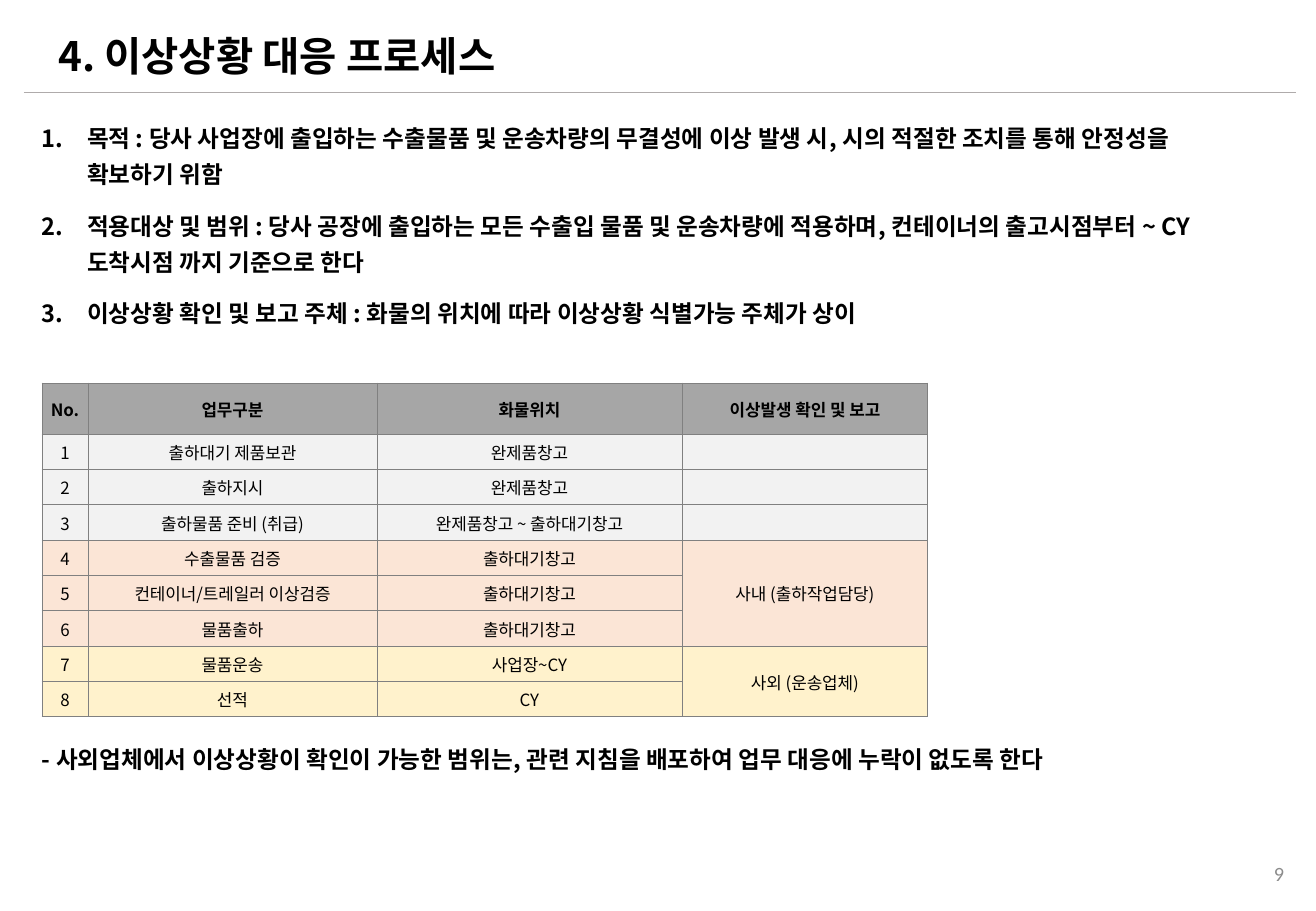
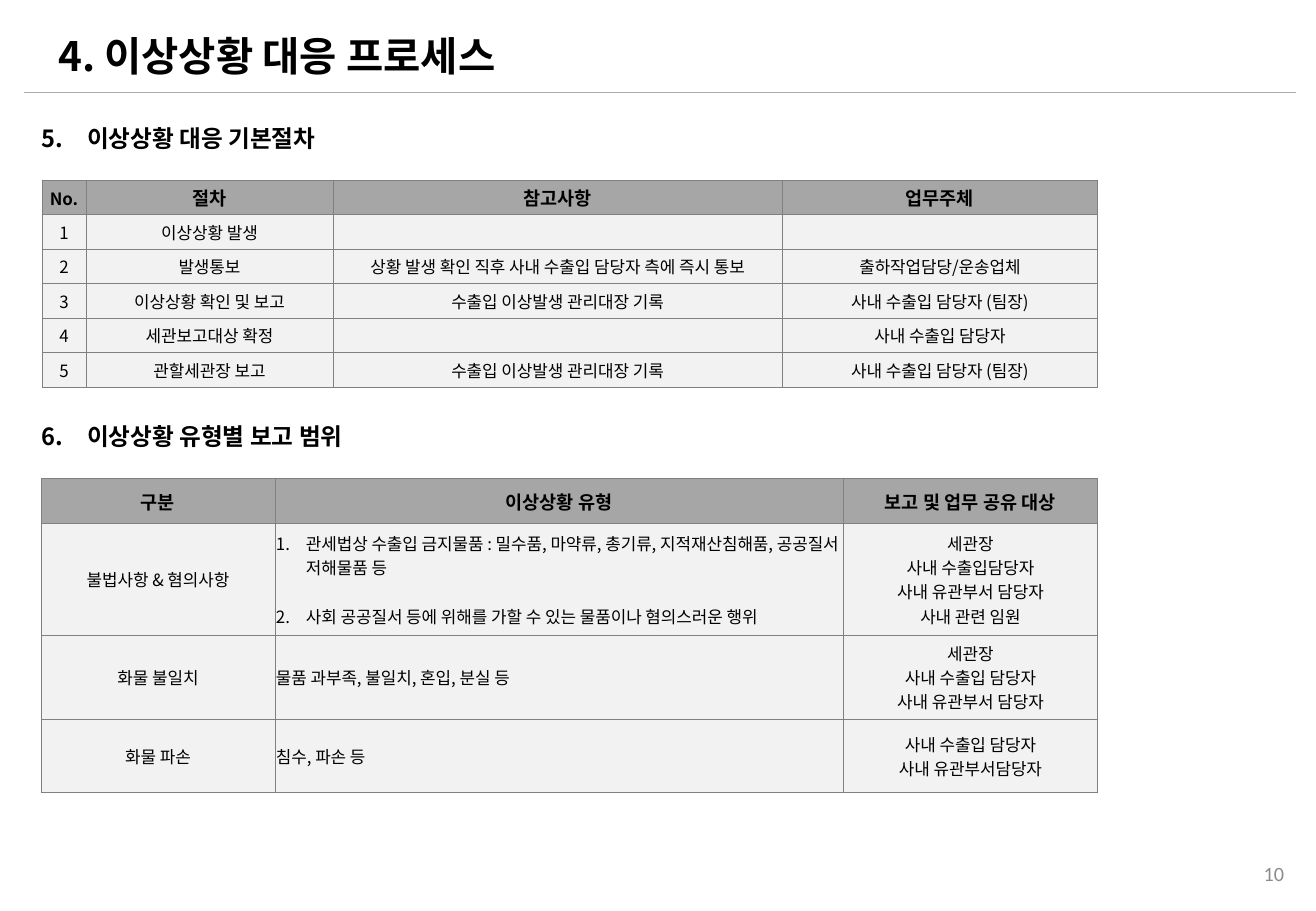
from lxml.etree import SubElement
from pptx import Presentation
from pptx.dml.color import RGBColor
from pptx.enum.shapes import MSO_CONNECTOR
from pptx.enum.text import MSO_ANCHOR as ANCHOR, PP_ALIGN as ALIGN
from pptx.oxml.ns import qn
from pptx.util import Emu, Pt

PX = 7526
KOREAN, LATIN = "Noto Sans CJK KR", "Calibri"
BLACK, PAGE_GRAY, RULE_GRAY, BORDER = "000000", "8C8C8C", "AFABAB", "808080"
HEADER, PLAIN, INSIDE, OUTSIDE = "A6A6A6", "F2F2F2", "FBE5D6", "FFF2CC"
TITLE = "4. 이상상황 대응 프로세스"
BODY_LEFT, BODY_WIDTH = 42, 1225

LOCATIONS = {
    "at": (42, 383),
    "widths": [46, 289, 305, 246],
    "heights": [51] + [283 / 8] * 8,
    "header_sizes": [10, 10, 10, 10],
    "rows": [
        ("No.", "업무구분", "화물위치", "이상발생 확인 및 보고"),
        ("1", "출하대기 제품보관", "완제품창고", ""),
        ("2", "출하지시", "완제품창고", ""),
        ("3", "출하물품 준비 (취급)", "완제품창고 ~ 출하대기창고", ""),
        ("4", "수출물품 검증", "출하대기창고", "사내 (출하작업담당)"),
        ("5", "컨테이너/트레일러 이상검증", "출하대기창고", ""),
        ("6", "물품출하", "출하대기창고", ""),
        ("7", "물품운송", "사업장~CY", "사외 (운송업체)"),
        ("8", "선적", "CY", ""),
    ],
    "fills": [HEADER] + [PLAIN] * 3 + [INSIDE] * 3 + [OUTSIDE] * 2,
    "merges": [(4, 6, 3), (7, 8, 3)],
}
PROCEDURE = {
    "at": (42, 180),
    "widths": [44, 247, 449, 316],
    "heights": [207 / 6] * 6,
    "header_sizes": [10, 11, 11, 11],
    "rows": [
        ("No.", "절차", "참고사항", "업무주체"),
        ("1", "이상상황 발생", "", ""),
        ("2", "발생통보", "상황 발생 확인 직후 사내 수출입 담당자 측에 즉시 통보",
         "출하작업담당/운송업체"),
        ("3", "이상상황 확인 및 보고", "수출입 이상발생 관리대장 기록",
         "사내 수출입 담당자 (팀장)"),
        ("4", "세관보고대상 확정", "", "사내 수출입 담당자"),
        ("5", "관할세관장 보고", "수출입 이상발생 관리대장 기록",
         "사내 수출입 담당자 (팀장)"),
    ],
    "fills": [HEADER] + [PLAIN] * 5,
}
REPORTING = {
    "at": (41, 478),
    "widths": [234, 568, 255],
    "heights": [45, 112, 84, 73],
    "header_sizes": [11, 11, 11],
    "rows": [
        ("구분", "이상상황 유형", "보고 및 업무 공유 대상"),
        ("불법사항 & 혐의사항",
         ["관세법상 수출입 금지물품 : 밀수품, 마약류, 총기류, 지적재산침해품, 공공질서 저해물품 등",
          "사회 공공질서 등에 위해를 가할 수 있는 물품이나 혐의스러운 행위"],
         "세관장\n사내 수출입담당자\n사내 유관부서 담당자\n사내 관련 임원"),
        ("화물 불일치", "물품 과부족, 불일치, 혼입, 분실 등",
         "세관장\n사내 수출입 담당자\n사내 유관부서 담당자"),
        ("화물 파손", "침수, 파손 등", "사내 수출입 담당자\n사내 유관부서담당자"),
    ],
    "fills": [HEADER] + [PLAIN] * 3,
    "left_column": 1,
}
SLIDES = [
    {
        "page": 9,
        "texts": [
            (111, 1, [
                "목적 : 당사 사업장에 출입하는 수출물품 및 운송차량의 무결성에 이상 발생 시, 시의 적절한 조치를 통해 안정성을 확보하기 위함",
                "적용대상 및 범위 : 당사 공장에 출입하는 모든 수출입 물품 및 운송차량에 적용하며, 컨테이너의 출고시점부터 ~ CY 도착시점 까지 기준으로 한다",
                "이상상황 확인 및 보고 주체 : 화물의 위치에 따라 이상상황 식별가능 주체가 상이",
            ]),
            (732, None, ["- 사외업체에서 이상상황이 확인이 가능한 범위는, 관련 지침을 배포하여 업무 대응에 누락이 없도록 한다"]),
        ],
        "tables": [LOCATIONS],
    },
    {
        "page": 10,
        "texts": [(111, 5, ["이상상황 대응 기본절차"]),
                  (409, 6, ["이상상황 유형별 보고 범위"])],
        "tables": [PROCEDURE, REPORTING],
    },
]


def px(length):
    return Emu(round(length * PX))


def color(value):
    return RGBColor.from_string(value)


def style(paragraph, size, bold=False, ink=BLACK, face=KOREAN, align=ALIGN.LEFT):
    paragraph.alignment = align
    for run in paragraph.runs:
        font = run.font
        font.size, font.bold, font.name = Pt(size), bold, face
        font.color.rgb = color(ink)
        SubElement(font._element, qn("a:ea"), typeface=face)
    if not paragraph.runs:
        SubElement(paragraph._p, qn("a:endParaRPr"), sz=str(size * 100))


def number(paragraph, start, indent):
    properties = paragraph._p.get_or_add_pPr()
    properties.set("marL", str(px(indent)))
    properties.set("indent", str(-px(indent)))
    SubElement(properties, qn("a:buAutoNum"), type="arabicPeriod", startAt=str(start))


def add_box(slide, left, top, width, height):
    frame = slide.shapes.add_textbox(px(left), px(top), px(width), px(height)).text_frame
    frame.word_wrap = True
    return frame


def add_frame(slide, page):
    title = slide.shapes.title
    title.left, title.top, title.width, title.height = map(px, (46, 27, 1135, 63))
    title.text_frame.text = TITLE
    title.text_frame.vertical_anchor = ANCHOR.MIDDLE
    heading = title.text_frame.paragraphs[0]
    heading.line_spacing = 0.9
    style(heading, 24, bold=True)

    rule = slide.shapes.add_connector(MSO_CONNECTOR.STRAIGHT, px(24), px(92), px(1296), px(92))
    rule.line.color.rgb = color(RULE_GRAY)
    rule.line.width = Pt(0.5)
    SubElement(rule._element.spPr, qn("a:effectLst"))

    footer = add_box(slide, 1000, 849, 296, 49)
    footer.vertical_anchor = ANCHOR.MIDDLE
    footer.text = str(page)
    style(footer.paragraphs[0], 12, ink=PAGE_GRAY, face=LATIN, align=ALIGN.RIGHT)


def add_statements(slide, top, start, statements):
    frame = add_box(slide, BODY_LEFT, top, BODY_WIDTH, 60 * len(statements))
    frame.margin_left = 0
    frame.text = "\n".join(statements)
    for index, paragraph in enumerate(frame.paragraphs):
        paragraph.line_spacing = 1.26
        if index:
            paragraph.space_before = Pt(9.5)
        if start:
            number(paragraph, start + index, 45)
        style(paragraph, 14, bold=True)


def add_borders(cell):
    properties = cell._tc.get_or_add_tcPr()
    for side in ("lnL", "lnR", "lnT", "lnB"):
        border = SubElement(properties, qn(f"a:{side}"), w=str(Pt(0.5)))
        fill = SubElement(border, qn("a:solidFill"))
        SubElement(fill, qn("a:srgbClr"), val=BORDER)


def fill_cell(cell, content, fill, size, bold, align):
    add_borders(cell)
    cell.fill.solid()
    cell.fill.fore_color.rgb = color(fill)
    cell.margin_left = cell.margin_right = cell.margin_top = px(1)
    cell.margin_bottom = 0
    cell.vertical_anchor = ANCHOR.MIDDLE
    numbered = isinstance(content, list)
    cell.text_frame.text = "\n".join(content) if numbered else content
    for index, paragraph in enumerate(cell.text_frame.paragraphs):
        if numbered:
            if index:
                paragraph.space_before = Pt(14.5)
            number(paragraph, index + 1, 30)
        style(paragraph, size, bold, align=align)


def add_grid(slide, spec_data):
    rows, widths, heights = (spec_data[key] for key in ("rows", "widths", "heights"))
    left, top = spec_data["at"]
    table = slide.shapes.add_table(len(rows), len(widths), px(left), px(top),
                                   px(sum(widths)), px(sum(heights))).table
    table.first_row = table.horz_banding = False
    for column, width in zip(table.columns, widths):
        column.width = px(width)
    for row, height in zip(table.rows, heights):
        row.height = px(height)
    for r, (contents, fill) in enumerate(zip(rows, spec_data["fills"])):
        for c, content in enumerate(contents):
            is_header = r == 0
            size = spec_data["header_sizes"][c] if is_header else 10
            is_left = not is_header and c == spec_data.get("left_column")
            fill_cell(table.cell(r, c), content, fill, size, is_header,
                      ALIGN.LEFT if is_left else ALIGN.CENTER)
    for first, last, column in spec_data.get("merges", []):
        table.cell(first, column).merge(table.cell(last, column))


def main():
    deck = Presentation()
    deck.slide_width, deck.slide_height = px(1316), px(911)
    for content in SLIDES:
        slide = deck.slides.add_slide(deck.slide_layouts[5])
        add_frame(slide, content["page"])
        for top, start, statements in content["texts"]:
            add_statements(slide, top, start, statements)
        for grid in content["tables"]:
            add_grid(slide, grid)
    deck.save("out.pptx")


if __name__ == "__main__":
    main()
